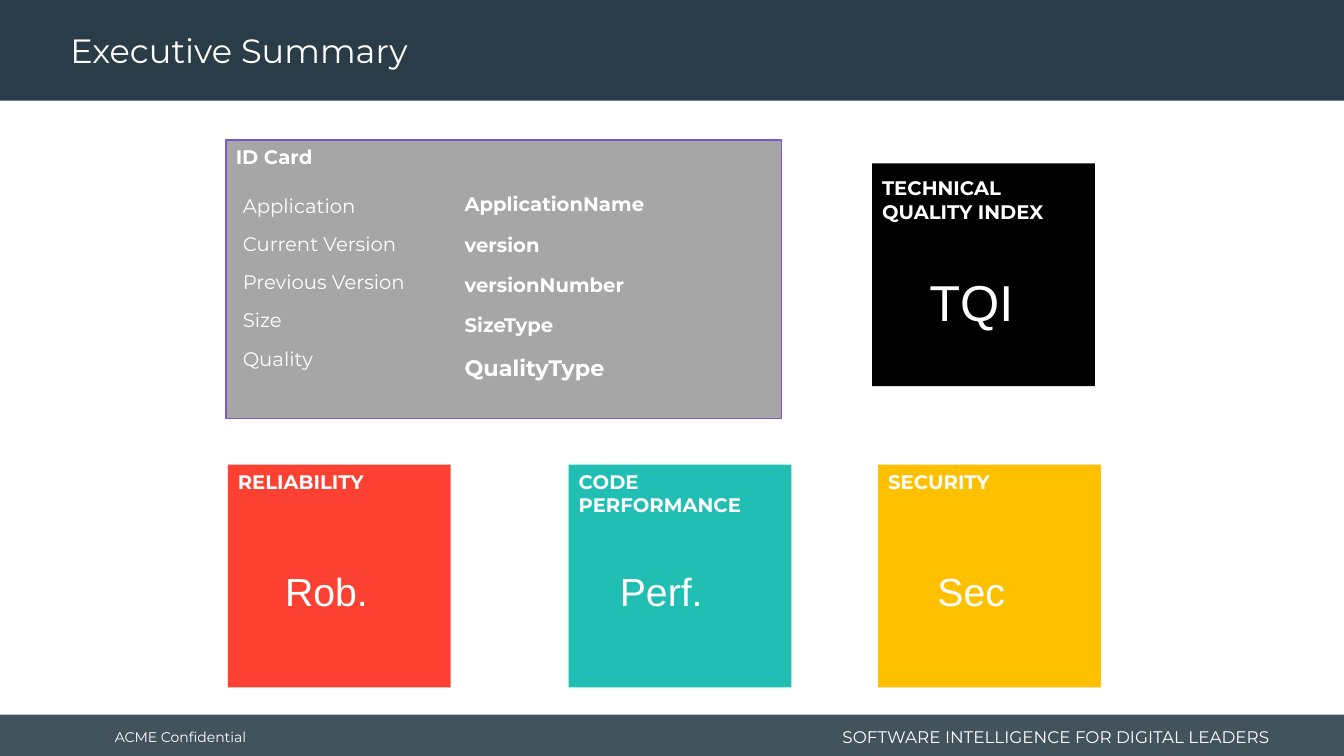
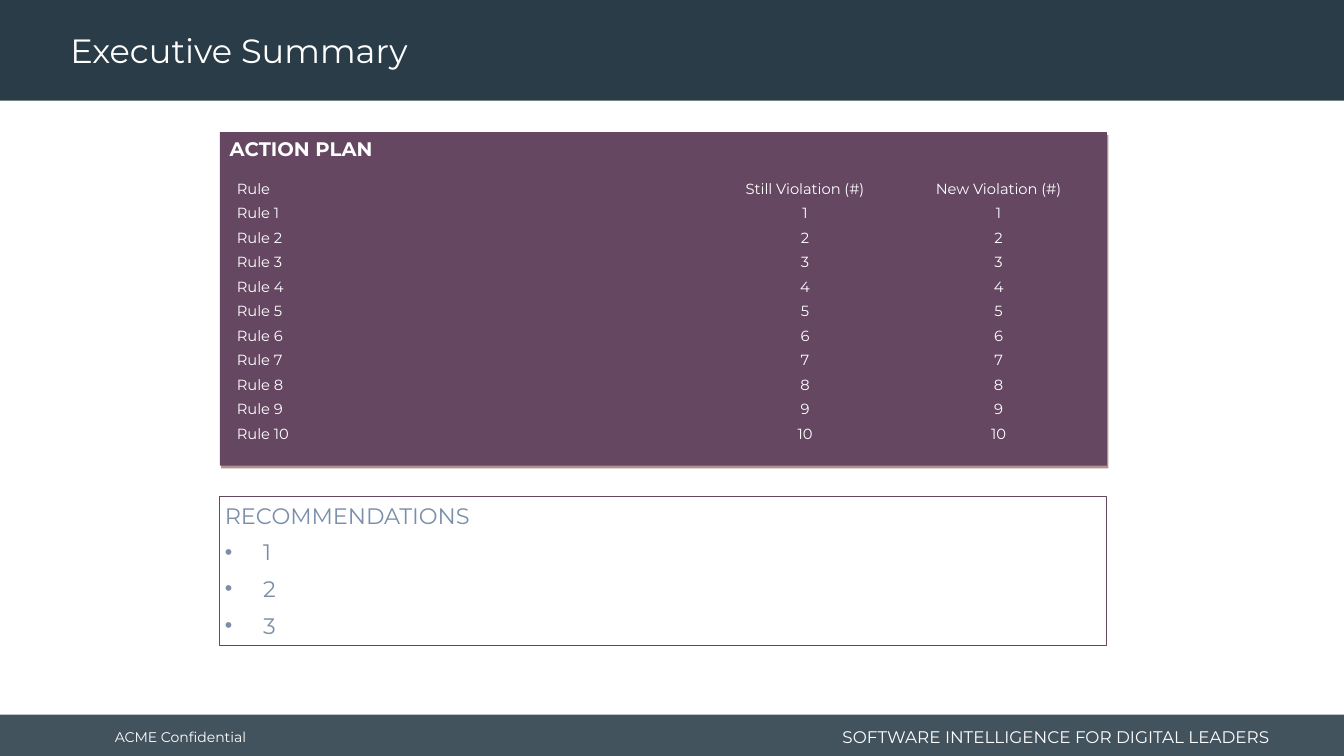
from dataclasses import dataclass

from lxml import etree
from pptx import Presentation
from pptx.dml.color import RGBColor
from pptx.enum.shapes import MSO_SHAPE
from pptx.enum.text import MSO_ANCHOR, PP_ALIGN
from pptx.oxml.ns import qn
from pptx.util import Inches, Pt

RECTANGLE = MSO_SHAPE.RECTANGLE
TOP, MIDDLE = MSO_ANCHOR.TOP, MSO_ANCHOR.MIDDLE
LEFT, CENTER, RIGHT = PP_ALIGN.LEFT, PP_ALIGN.CENTER, PP_ALIGN.RIGHT
PLAIN_TABLE_STYLE = "{2D5ABB26-0587-4C30-8999-92F81FD0307C}"


@dataclass(frozen=True)
class Theme:
    font: str = "Montserrat"
    score_font: str = "Arial"
    white: str = "FFFFFF"
    black: str = "000000"
    navy: str = "293C47"
    red: str = "FC4132"
    teal: str = "20BEB3"
    amber: str = "FFC000"
    gray: str = "A6A6A6"
    violet: str = "7859C9"
    plum: str = "654761"
    shadow: str = "622423"
    slate: str = "7A8EAA"
    title_size: float = 24
    heading_size: float = 14
    large_size: float = 16
    score_size: float = 28
    index_size: float = 36
    table_size: float = 10.5
    footer_size: float = 10
    tagline_size: float = 12


THEME = Theme()
SLIDE_WIDTH, SLIDE_HEIGHT = 13.33, 7.5

TITLE = "Executive Summary"
FOOTER = "ACME Confidential"
TAGLINE = "SOFTWARE INTELLIGENCE FOR DIGITAL LEADERS"

TILE_SIZE = 2.21
TILES = [
    {"label": "RELIABILITY", "score": "Rob.", "color": THEME.red, "left": 2.26, "top": 4.61,
     "label_drop": 0, "score_offset": (0.47, 0.97), "size": THEME.score_size},
    {"label": "CODE PERFORMANCE", "score": "Perf.", "color": THEME.teal, "left": 5.64, "top": 4.61,
     "label_drop": 0, "score_offset": (0.41, 0.97), "size": THEME.score_size},
    {"label": "TECHNICAL QUALITY INDEX", "score": "TQI", "color": THEME.black, "left": 8.65, "top": 1.62,
     "label_drop": 0.08, "score_offset": (0.47, 1.02), "size": THEME.index_size},
    {"label": "SECURITY", "score": "Sec", "color": THEME.amber, "left": 8.71, "top": 4.61,
     "label_drop": 0, "score_offset": (0.49, 0.97), "size": THEME.score_size},
]

ID_CARD = (2.24, 1.39, 5.51, 2.76)
ID_ROWS = [
    ("Application", "ApplicationName", THEME.heading_size),
    ("Current Version", "version", THEME.heading_size),
    ("Previous Version", "versionNumber", THEME.heading_size),
    ("Size", "SizeType", THEME.heading_size),
    ("Quality", "QualityType", THEME.large_size),
]

ACTION_PLAN = (2.18, 1.31, 8.8, 3.31)
ACTION_ROWS = [("Rule", "Still Violation (#)", "New Violation (#)")]
ACTION_ROWS += [(f"Rule {number}", str(number), str(number)) for number in range(1, 11)]
ACTION_COLUMNS = [4.72, 1.97, 1.87]
ACTION_ALIGNMENTS = [LEFT, CENTER, CENTER]

RECOMMENDATIONS_BOX = (2.18, 4.93, 8.8, 1.47)
RECOMMENDATIONS = ["1", "2", "3"]


def color_of(value):
    return RGBColor.from_string(value)


def add_run(paragraph, text, size, color=THEME.white, bold=False, font=THEME.font):
    run = paragraph.add_run()
    run.text = text
    run.font.name = font
    run.font.size = Pt(size)
    run.font.bold = bold
    run.font.color.rgb = color_of(color)


def add_text(slide, box, text, size, anchor=TOP, align=LEFT, **run_style):
    shape = slide.shapes.add_textbox(*map(Inches, box))
    frame = shape.text_frame
    frame.word_wrap = True
    frame.vertical_anchor = anchor
    paragraph = frame.paragraphs[0]
    paragraph.alignment = align
    add_run(paragraph, text, size, **run_style)
    return paragraph


def add_box(slide, box, fill=None, line=None, line_width=1):
    shape = slide.shapes.add_shape(RECTANGLE, *map(Inches, box))
    shape.shadow.inherit = False
    if fill:
        shape.fill.solid()
        shape.fill.fore_color.rgb = color_of(fill)
    else:
        shape.fill.background()
    if line:
        shape.line.color.rgb = color_of(line)
        shape.line.width = Pt(line_width)
    else:
        shape.line.fill.background()
    return shape


def set_alpha(color_element, percent):
    etree.SubElement(color_element, qn("a:alpha")).set("val", str(percent * 1000))


def add_shadow(shape, color, percent, distance, degrees):
    effects = shape._element.spPr.find(qn("a:effectLst"))
    shadow = etree.SubElement(effects, qn("a:outerShdw"))
    shadow.set("blurRad", "0")
    shadow.set("dist", str(int(Pt(distance))))
    shadow.set("dir", str(degrees * 60000))
    shadow.set("algn", "ctr")
    shadow.set("rotWithShape", "0")
    shadow_color = etree.SubElement(shadow, qn("a:srgbClr"))
    shadow_color.set("val", color)
    set_alpha(shadow_color, percent)


def add_bullet(paragraph, color, percent, indent):
    properties = paragraph._p.get_or_add_pPr()
    properties.set("marL", str(int(Inches(indent))))
    properties.set("indent", str(-int(Inches(indent))))
    bullet_color = etree.SubElement(properties, qn("a:buClr"))
    etree.SubElement(bullet_color, qn("a:srgbClr")).set("val", color)
    etree.SubElement(properties, qn("a:buSzPct")).set("val", str(percent * 1000))
    etree.SubElement(properties, qn("a:buFont")).set("typeface", THEME.score_font)
    etree.SubElement(properties, qn("a:buChar")).set("char", "•")


def add_base_slide(presentation):
    slide = presentation.slides.add_slide(presentation.slide_layouts[6])
    footer_band = add_box(slide, (0, 7.09, SLIDE_WIDTH, 0.44), THEME.navy)
    set_alpha(footer_band._element.spPr.find(f".//{qn('a:srgbClr')}"), 88)
    add_box(slide, (0, 0, SLIDE_WIDTH, 1), THEME.navy)
    add_text(slide, (1.04, 7.11, 1.7, 0.4), FOOTER, THEME.footer_size, MIDDLE)
    add_text(slide, (8.11, 7.15, 4.58, 0.32), TAGLINE, THEME.tagline_size, MIDDLE, RIGHT)
    title = add_text(slide, (0.6, 0.04, 9.58, 0.96), TITLE, THEME.title_size, MIDDLE)
    title.line_spacing = 0.9
    return slide


def add_tile(slide, tile):
    left, top = tile["left"], tile["top"]
    across, down = tile["score_offset"]
    add_box(slide, (left, top, TILE_SIZE, TILE_SIZE), tile["color"])
    add_text(slide, (left, top + tile["label_drop"], TILE_SIZE, 0.57), tile["label"],
             THEME.heading_size, bold=True)
    add_text(slide, (left + across, top + down, 1.96, 0.57), tile["score"], tile["size"],
             font=THEME.score_font)


def add_id_card(slide):
    left, top = ID_CARD[:2]
    add_box(slide, ID_CARD, THEME.gray, THEME.violet)
    add_text(slide, (left, top, 3.09, 0.34), "ID Card", THEME.heading_size, bold=True)
    for index, (label, value, size) in enumerate(ID_ROWS):
        add_text(slide, (2.31, 1.87 + 0.38 * index, 2.1, 0.34), label, THEME.heading_size)
        add_text(slide, (4.51, 1.86 + 0.4 * index, 3.2, 0.34), value, size, bold=True)


def add_action_plan(slide):
    left, top = ACTION_PLAN[:2]
    panel = add_box(slide, ACTION_PLAN, THEME.plum)
    add_shadow(panel, THEME.shadow, 50, 2.2, 63)
    add_text(slide, (left, top, 3.09, 0.34), "ACTION PLAN", THEME.heading_size, bold=True)
    frame = slide.shapes.add_table(len(ACTION_ROWS), len(ACTION_COLUMNS), Inches(2.28), Inches(1.76),
                                   Inches(sum(ACTION_COLUMNS)), Inches(2.68))
    table = frame.table
    table.first_row = table.horz_banding = False
    table._tbl.tblPr.find(qn("a:tableStyleId")).text = PLAIN_TABLE_STYLE
    for column, width in zip(table.columns, ACTION_COLUMNS):
        column.width = Inches(width)
    for row_index, values in enumerate(ACTION_ROWS):
        for column_index, (value, align) in enumerate(zip(values, ACTION_ALIGNMENTS)):
            cell = table.cell(row_index, column_index)
            cell.fill.background()
            cell.margin_left = cell.margin_right = Inches(0.07)
            cell.margin_top = cell.margin_bottom = 0
            paragraph = cell.text_frame.paragraphs[0]
            paragraph.alignment = align
            paragraph.line_spacing = 1.15
            add_run(paragraph, value, THEME.table_size)


def add_recommendations(slide):
    shape = add_box(slide, RECOMMENDATIONS_BOX, line=THEME.plum, line_width=0.75)
    frame = shape.text_frame
    frame.word_wrap = True
    frame.vertical_anchor = TOP
    frame.margin_left = frame.margin_right = Inches(0.05)
    frame.margin_top = frame.margin_bottom = Inches(0.05)
    for index, text in enumerate(["RECOMMENDATIONS", *RECOMMENDATIONS]):
        paragraph = frame.add_paragraph() if index else frame.paragraphs[0]
        paragraph.alignment = LEFT
        paragraph.space_before, paragraph.space_after = Pt(3), Pt(4)
        if index:
            add_bullet(paragraph, THEME.slate, 95, 0.38)
        add_run(paragraph, text, THEME.large_size, THEME.slate)


def main():
    presentation = Presentation()
    presentation.slide_width = Inches(SLIDE_WIDTH)
    presentation.slide_height = Inches(SLIDE_HEIGHT)

    summary_slide = add_base_slide(presentation)
    for tile in TILES:
        add_tile(summary_slide, tile)
    add_id_card(summary_slide)

    plan_slide = add_base_slide(presentation)
    add_action_plan(plan_slide)
    add_recommendations(plan_slide)

    presentation.save("out.pptx")


if __name__ == "__main__":
    main()
